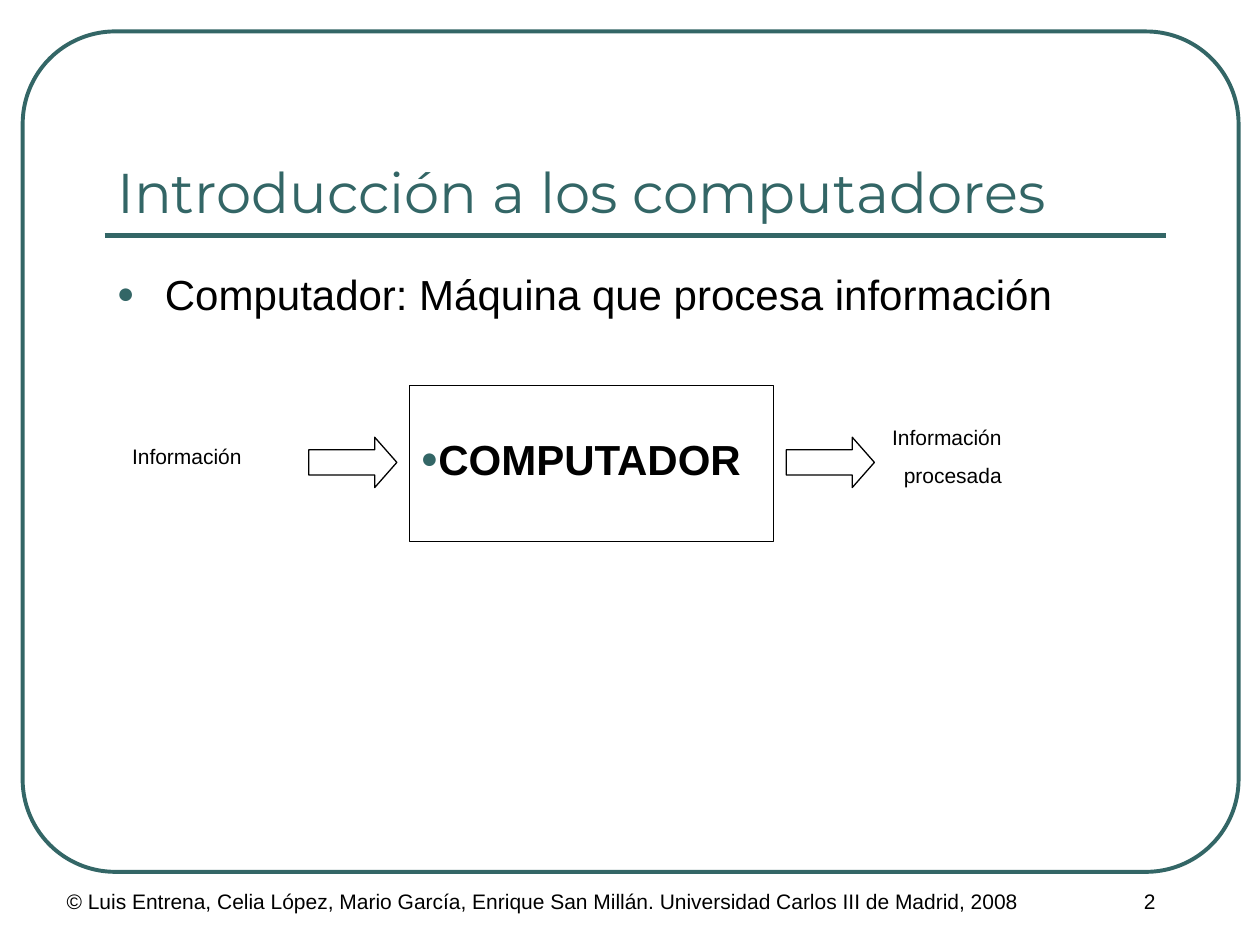
import pptx
import pptx.dml.color
import pptx.enum.shapes
import pptx.enum.text
import pptx.oxml
import pptx.oxml.ns
import pptx.util

TEAL, BLACK = "336666", "000000"
ALIGN = pptx.enum.text.PP_ALIGN
ANCHOR = pptx.enum.text.MSO_ANCHOR
SHAPE = pptx.enum.shapes.MSO_SHAPE

deck = pptx.Presentation()
deck.slide_width = pptx.util.Inches(10)
deck.slide_height = pptx.util.Inches(7.5)
slide = deck.slides.add_slide(deck.slide_layouts[5])


def area(left, top, width, height):
    """Turn percentages of the slide's size into lengths."""
    across, down = deck.slide_width / 100, deck.slide_height / 100
    return [round(n) for n in (left * across, top * down, width * across, height * down)]


def colour(hex_string):
    return pptx.dml.color.RGBColor.from_string(hex_string)


# Frame, computer box and the arrows into and out of it
outlines = [
    (SHAPE.ROUNDED_RECTANGLE, (1.8, 3.33, 96.5, 88.93), [0.11], TEAL, 2.25),
    (SHAPE.RECTANGLE, (32.5, 40.8, 28.9, 16.53), [], BLACK, 0.75),
]
for arrow_left in (24.5, 62.4):
    outlines.append((SHAPE.RIGHT_ARROW, (arrow_left, 46.27, 7, 5.33), [0.5, 0.44], BLACK, 0.75))

for kind, place, adjustments, ink, weight in outlines:
    outline = slide.shapes.add_shape(kind, *area(*place))
    for index, value in enumerate(adjustments):
        outline.adjustments[index] = value
    outline.shadow.inherit = False
    outline.fill.background()
    outline.line.color.rgb = colour(ink)
    outline.line.width = pptx.util.Pt(weight)

# Rule under the title
left, top, width, _ = area(8.3, 24.93, 84.2, 0)
rule = slide.shapes.add_connector(
    pptx.enum.shapes.MSO_CONNECTOR.STRAIGHT, left, top, left + width, top)
rule.line.color.rgb = colour(TEAL)
rule.line.width = pptx.util.Pt(3)
rule._element.spPr.append(pptx.oxml.parse_xml(
    f'<a:effectLst {pptx.oxml.ns.nsdecls("a")}/>'))

# Texts: lines, place, and what differs from the plain format
plain = {"size": 12, "font": "Arial", "ink": BLACK, "bold": False, "align": ALIGN.LEFT,
         "anchor": ANCHOR.TOP, "before": 0, "wrap": True, "bullet": False, "hang": 0}
label = {"before": 7.5, "wrap": False}
texts = [
    (["Introducción a los computadores"], (8.3, 7.73, 84.2, 16.67),
     {"size": 32, "font": "Montserrat", "ink": TEAL, "anchor": ANCHOR.BOTTOM}),
    (["Computador: Máquina que procesa información"], (8.3, 27.73, 84.2, 64.4),
     {"size": 24, "before": 12, "bullet": True, "hang": 0.38}),
    (["COMPUTADOR"], (32.4, 45.2, 28.6, 6.67),
     {"size": 24, "bold": True, "before": 15, "wrap": False, "bullet": True}),
    (["Información"], (9.5, 46.27, 10.7, 4), label),
    (["Información", "procesada"], (69.8, 44.27, 10.7, 8.13), {**label, "align": ALIGN.RIGHT}),
    (["© Luis Entrena, Celia López, Mario García, Enrique San Millán. "
      "Universidad Carlos III de Madrid, 2008"], (4.3, 93.33, 85, 6.67), {}),
    (["2"], (82.5, 93.33, 17.5, 6.67), {"align": ALIGN.CENTER}),
]
bullet_marks = (f'<a:buClr {{ns}}><a:srgbClr val="{TEAL}"/></a:buClr>',
                '<a:buSzPct {ns} val="70000"/>',
                '<a:buFont {ns} typeface="Arial"/>',
                '<a:buChar {ns} char="●"/>')

for number, (lines, place, changes) in enumerate(texts):
    style = {**plain, **changes}
    bounds = area(*place)
    holder = slide.shapes.title if number == 0 else slide.shapes.add_textbox(*bounds)
    for name, value in zip(("left", "top", "width", "height"), bounds):
        setattr(holder, name, value)
    frame = holder.text_frame
    frame.text = "\n".join(lines)
    frame_format = {"word_wrap": style["wrap"], "vertical_anchor": style["anchor"],
                    "auto_size": pptx.enum.text.MSO_AUTO_SIZE.NONE}
    for name, value in frame_format.items():
        setattr(frame, name, value)

    for paragraph in frame.paragraphs:
        paragraph.alignment = style["align"]
        paragraph.space_before = pptx.util.Pt(style["before"])
        font_format = {"size": pptx.util.Pt(style["size"]), "name": style["font"],
                       "bold": style["bold"]}
        for run in paragraph.runs:
            for name, value in font_format.items():
                setattr(run.font, name, value)
            run.font.color.rgb = colour(style["ink"])
        if style["bullet"]:
            properties = paragraph._p.get_or_add_pPr()
            hang = pptx.util.Inches(style["hang"])
            properties.set("marL", str(hang))
            properties.set("indent", str(-hang))
            for mark in bullet_marks:
                properties.append(pptx.oxml.parse_xml(
                    mark.format(ns=pptx.oxml.ns.nsdecls("a"))))

deck.save("out.pptx")
